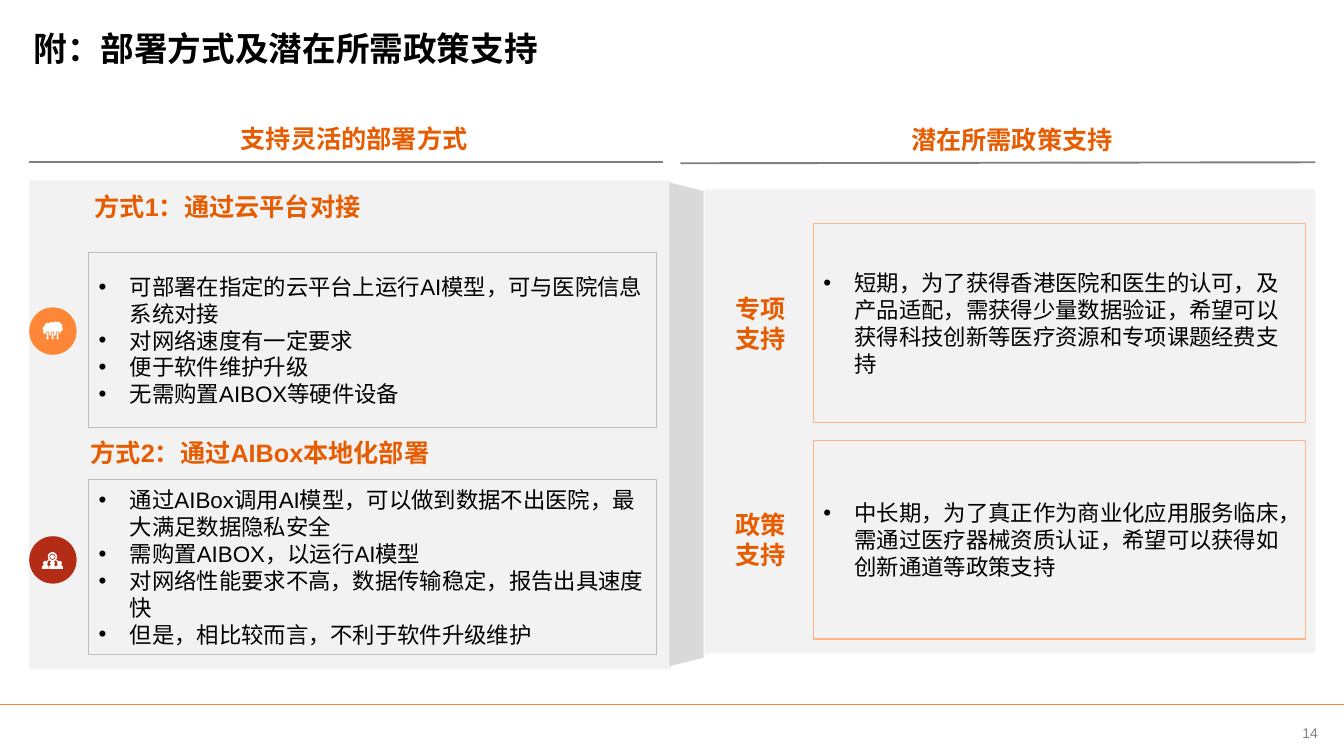
from lxml.etree import SubElement
from pptx import Presentation
from pptx.dml.color import RGBColor
from pptx.enum.shapes import MSO_CONNECTOR, MSO_SHAPE
from pptx.enum.text import MSO_ANCHOR, MSO_AUTO_SIZE, PP_ALIGN
from pptx.oxml.ns import qn
from pptx.util import Inches, Pt

COLUMNS = 40
ROWS = 22.5
SLIDE_WIDTH = Inches(13.333)
SLIDE_HEIGHT = Inches(7.5)
FONT = "Arial"
BULLET_INDENT = Inches(0.31)

BLACK = RGBColor(0x00, 0x00, 0x00)
WHITE = RGBColor(0xFF, 0xFF, 0xFF)
GREY = RGBColor(0x80, 0x80, 0x80)
PANEL = RGBColor(0xF2, 0xF2, 0xF2)
FOLD = RGBColor(0xD9, 0xD9, 0xD9)
STEEL = RGBColor(0xB9, 0xBE, 0xC7)
PEACH = RGBColor(0xFE, 0xB6, 0x87)
ORANGE = RGBColor(0xFE, 0x86, 0x37)
DEEP_ORANGE = RGBColor(0xE7, 0x5C, 0x01)
RED = RGBColor(0xB3, 0x2C, 0x16)

DEPLOYMENTS = [
    (0.84, 1.85 * 3, 7.53, "方式1：通过云平台对接", [
        "可部署在指定的云平台上运行AI模型，可与医院信息系统对接",
        "对网络速度有一定要求",
        "便于软件维护升级",
        "无需购置AIBOX等硬件设备",
    ]),
    (0.8, 4.29 * 3, 14.28, "方式2：通过AIBox本地化部署", [
        "通过AIBox调用AI模型，可以做到数据不出医院，最大满足数据隐私安全",
        "需购置AIBOX，以运行AI模型",
        "对网络性能要求不高，数据传输稳定，报告出具速度快",
        "但是，相比较而言，不利于软件升级维护",
    ]),
]
POLICIES = [
    ("专项支持", "短期，为了获得香港医院和医生的认可，及产品适配，需获得少量数据验证，"
     "希望可以获得科技创新等医疗资源和专项课题经费支持"),
    ("政策支持", "中长期，为了真正作为商业化应用服务临床，需通过医疗器械资质认证，"
     "希望可以获得如创新通道等政策支持"),
]


def across(columns):
    return round(SLIDE_WIDTH * columns / COLUMNS)


def down(rows):
    return round(SLIDE_HEIGHT * rows / ROWS)


def area(left, top, width, height):
    return across(left), down(top), across(width), down(height)


def format_text(frame, size, color, bold=False, align=PP_ALIGN.LEFT):
    for para in frame.paragraphs:
        para.alignment = align
        for span in para.runs:
            span.font.name = FONT
            span.font.size = Pt(size)
            span.font.bold = bold
            span.font.color.rgb = color


def add_shape(shapes, kind, cells, fill, line=None, weight=0.75):
    shape = shapes.add_shape(kind, *area(*cells))
    shape.shadow.inherit = False
    shape.fill.solid()
    shape.fill.fore_color.rgb = fill
    if line is None:
        shape.line.fill.background()
    else:
        shape.line.color.rgb = line
        shape.line.width = Pt(weight)
    return shape


def add_line(shapes, start, end, color, weight):
    line = shapes.add_connector(
        MSO_CONNECTOR.STRAIGHT, across(start[0]), down(start[1]), across(end[0]), down(end[1]))
    line.line.color.rgb = color
    line.line.width = Pt(weight)
    SubElement(line._element.spPr, qn("a:effectLst"))


def add_label(page, cells, text, size=18, color=DEEP_ORANGE, bold=True,
              align=PP_ALIGN.LEFT, anchor=MSO_ANCHOR.TOP):
    frame = page.shapes.add_textbox(*area(*cells)).text_frame
    frame.word_wrap = True
    frame.vertical_anchor = anchor
    frame.text = text
    format_text(frame, size, color, bold, align)


def add_bullet_box(page, cells, border, items):
    frame = add_shape(page.shapes, MSO_SHAPE.RECTANGLE, cells, PANEL, border).text_frame
    frame.word_wrap = True
    frame.vertical_anchor = MSO_ANCHOR.MIDDLE
    frame.text = "\n".join(items)
    for para in frame.paragraphs:
        properties = para._p.get_or_add_pPr()
        properties.set("marL", str(BULLET_INDENT))
        properties.set("indent", str(-BULLET_INDENT))
        SubElement(properties, qn("a:buFont"), typeface=FONT)
        SubElement(properties, qn("a:buChar"), char="•")
    format_text(frame, 16, BLACK)


def add_badge(page, top, color):
    shapes = page.shapes.add_group_shape().shapes
    add_shape(shapes, MSO_SHAPE.OVAL, (0.87, top, 1.41, 1.41), color)
    return shapes


def add_cloud_badge(page, top):
    shapes = add_badge(page, top, ORANGE)
    add_shape(shapes, MSO_SHAPE.CLOUD, (1.27, top + 0.42, 0.6, 0.44), WHITE)
    for arrow in range(3):
        add_shape(shapes, MSO_SHAPE.DOWN_ARROW,
                  (1.34 + arrow * 0.15, top + 0.73, 0.15, 0.25), WHITE, ORANGE, 0.5)


def add_network_badge(page, top):
    shapes = add_badge(page, top, RED)
    hub = (1.56, top + 0.61)
    for person in range(3):
        center = 1.35 + person * 0.21
        add_line(shapes, hub, (center, top + 0.8), WHITE, 0.75)
        add_shape(shapes, MSO_SHAPE.OVAL, (center - 0.07, top + 0.73, 0.14, 0.14), WHITE)
        body = add_shape(shapes, MSO_SHAPE.ROUND_2_SAME_RECTANGLE,
                         (center - 0.1, top + 0.86, 0.2, 0.11), WHITE)
        body.adjustments[0] = 0.5
    add_shape(shapes, MSO_SHAPE.OVAL, (1.42, top + 0.47, 0.28, 0.28), WHITE)
    add_shape(shapes, MSO_SHAPE.OVAL, (1.48, top + 0.53, 0.16, 0.16), WHITE, RED, 0.5)


def add_title(page, text):
    title = page.shapes.title
    title.left, title.top, title.width, title.height = area(1, 0.78, 37.68, 1.32)
    frame = title.text_frame
    frame.margin_left = frame.margin_right = frame.margin_top = frame.margin_bottom = 0
    frame.auto_size = MSO_AUTO_SIZE.NONE
    frame.vertical_anchor = MSO_ANCHOR.MIDDLE
    frame.text = text
    format_text(frame, 24, BLACK, True)


def main():
    deck = Presentation()
    deck.slide_width = SLIDE_WIDTH
    deck.slide_height = SLIDE_HEIGHT
    page = deck.slides.add_slide(deck.slide_layouts[5])
    shapes = page.shapes

    add_title(page, "附：部署方式及潜在所需政策支持")
    add_line(shapes, (0, 20.97), (COLUMNS, 20.97), ORANGE, 1)
    add_label(page, (37.98, 21.12, 2.02, 1.38), "14", 10, GREY, False,
              PP_ALIGN.CENTER, MSO_ANCHOR.MIDDLE)

    add_shape(shapes, MSO_SHAPE.RECTANGLE, (20.97, 5.64, 18.18, 13.8), PANEL)
    add_shape(shapes, MSO_SHAPE.RECTANGLE, (0.87, 5.37, 19.11, 14.55), PANEL)
    fold = add_shape(shapes, MSO_SHAPE.TRAPEZOID, (13.23, 12.12, 14.4, 1.02), FOLD)
    fold.rotation = 90

    add_label(page, (6.24, 3.51, 8.6, 1.2), "支持灵活的部署方式", align=PP_ALIGN.CENTER)
    add_label(page, (20.67, 3.51, 18.9, 1.29), "潜在所需政策支持",
              align=PP_ALIGN.CENTER, anchor=MSO_ANCHOR.MIDDLE)
    add_line(shapes, (0.87, 4.83), (19.74, 4.83), GREY, 1.35)
    add_line(shapes, (20.25, 4.86), (39.15, 4.83), GREY, 1.35)

    for left, top, box_top, heading, items in DEPLOYMENTS:
        add_label(page, (left * 3, top, 16.5, 1.2), heading)
        add_bullet_box(page, (2.64, box_top, 16.89, 5.19), STEEL, items)
    add_cloud_badge(page, 9.15)
    add_network_badge(page, 15.96)

    for index, (heading, detail) in enumerate(POLICIES):
        top = 6.66 + index * 6.45
        add_bullet_box(page, (24.21, top, 14.64, 5.91), PEACH, [detail])
        add_label(page, (21.6, top + 1.89, 2.67, 2.13), heading, anchor=MSO_ANCHOR.MIDDLE)

    deck.save("out.pptx")


if __name__ == "__main__":
    main()
